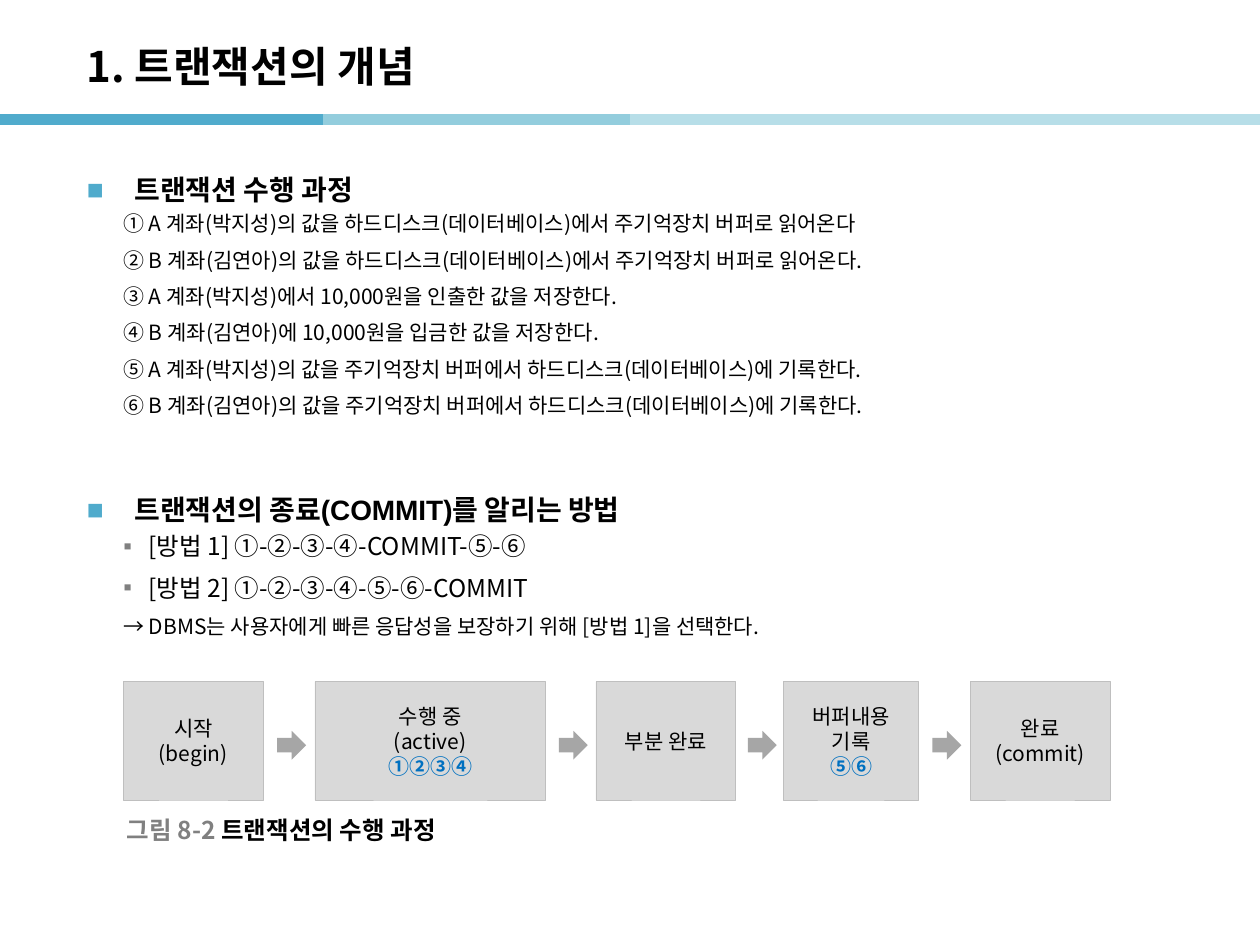
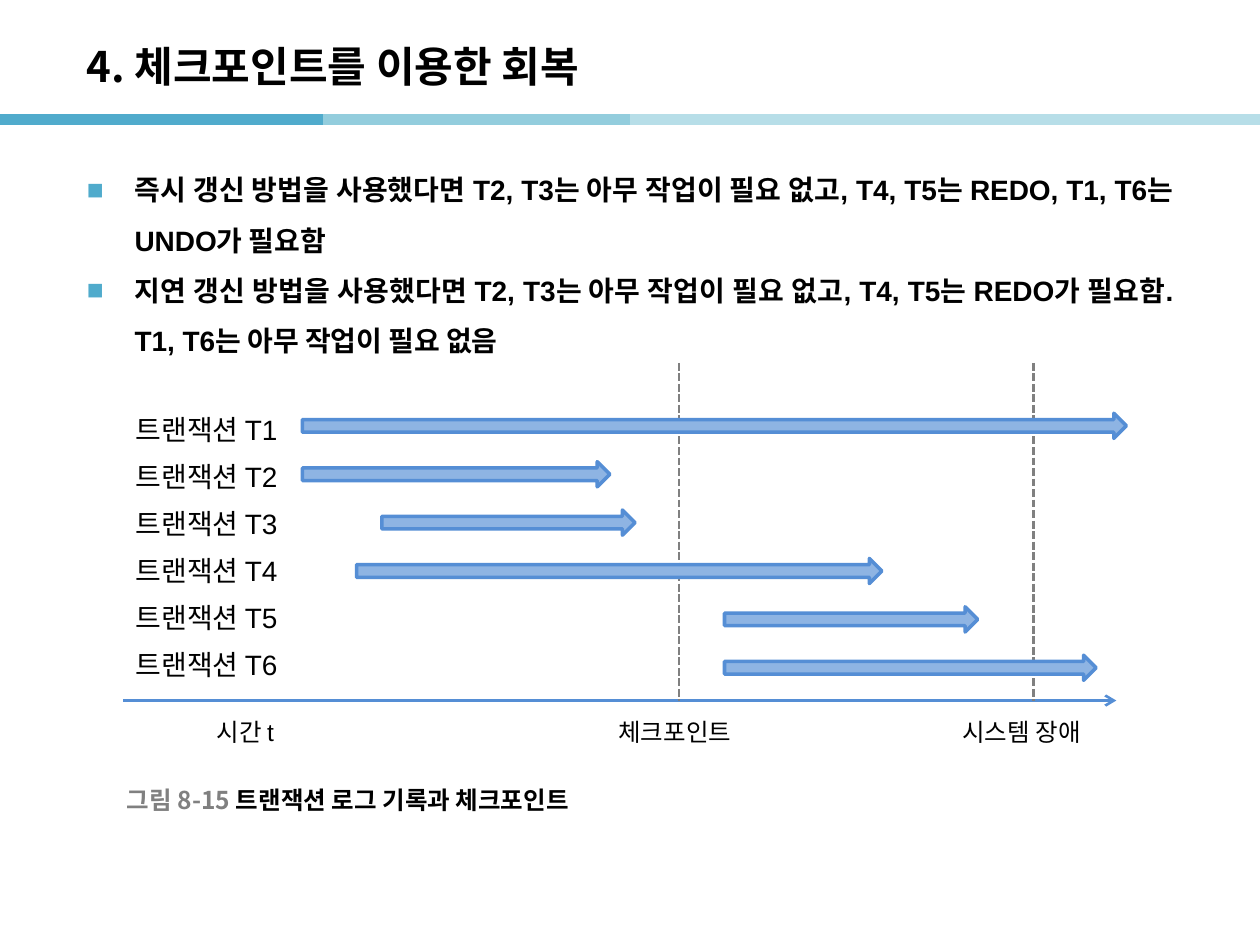
from lxml.etree import SubElement
from pptx import Presentation
from pptx.dml.color import RGBColor
from pptx.enum.dml import MSO_LINE
from pptx.enum.shapes import MSO_CONNECTOR, MSO_SHAPE
from pptx.enum.text import MSO_ANCHOR, PP_ALIGN
from pptx.oxml.ns import qn
from pptx.util import Inches, Pt

# The page is a grid of 100 columns and 75 rows
COLUMNS, ROWS = 100, 75
CELL = 0.1

SANS, KOREAN = "Arial", "Noto Sans CJK KR"
BLACK, GRAY = "000000", "808080"
TEAL, TEAL_MID, TEAL_LIGHT = "50ABCC", "93CDDD", "B7DEE8"
BOX_FILL, BOX_EDGE, STEP_ARROW = "D9D9D9", "BFBFBF", "A6A6A6"
BAR_FILL, BAR_EDGE, STEP_NUMBER = "8EB4E3", "558ED5", "0070C0"
MARGIN, BODY_WIDTH = 5.9, 88.2


def color(value):
    return RGBColor.from_string(value)


def cells(*counts):
    return [Inches(count * CELL) for count in counts]


# Text
def add_span(para, text, size, font=KOREAN, ink=BLACK, bold=False):
    span = para.add_run()
    span.text = text
    span.font.size = Pt(size)
    span.font.name = font
    span.font.bold = bold
    span.font.color.rgb = color(ink)
    SubElement(span.font._element, qn("a:ea"), typeface=KOREAN)


def add_box(page, left, top, width, height, anchor=MSO_ANCHOR.TOP):
    box = page.shapes.add_textbox(*cells(left, top, width, height))
    box.text_frame.word_wrap = True
    box.text_frame.vertical_anchor = anchor
    return box.text_frame


def next_para(frame):
    first = frame.paragraphs[0]
    return frame.add_paragraph() if first.runs else first


def set_bullet(para, margin, indent, mark=None, ink=BLACK):
    props = para._p.get_or_add_pPr()
    props.set("marL", str(Inches(margin)))
    props.set("indent", str(Inches(indent)))
    if mark is None:
        SubElement(props, qn("a:buNone"))
        return
    SubElement(SubElement(props, qn("a:buClr")), qn("a:srgbClr"), val=ink)
    SubElement(props, qn("a:buFont"), typeface=SANS)
    SubElement(props, qn("a:buChar"), char=mark)


def add_heading(frame, text, align=PP_ALIGN.LEFT):
    para = next_para(frame)
    set_bullet(para, 0.38, -0.38, "■", TEAL)
    para.line_spacing = 1.5
    para.alignment = align
    add_span(para, text, 16, SANS, bold=True)


def add_item(frame, text, size=12, mark=None):
    para = next_para(frame)
    set_bullet(para, 0.49, -0.2, mark, GRAY)
    para.space_before = Pt(size * 0.2)
    para.space_after = Pt(4)
    add_span(para, text, size)


def add_caption(page, top, number, text):
    frame = add_box(page, 9.1, top, 50, 3.1, MSO_ANCHOR.MIDDLE)
    para = frame.paragraphs[0]
    add_span(para, number + " ", 14, ink=GRAY, bold=True)
    add_span(para, text, 14, bold=True)


# Shapes and lines
def add_figure(page, kind, left, top, width, height, fill, edge=None, weight=0):
    figure = page.shapes.add_shape(kind, *cells(left, top, width, height))
    figure.shadow.inherit = False
    figure.fill.solid()
    figure.fill.fore_color.rgb = color(fill)
    if edge:
        figure.line.color.rgb = color(edge)
        figure.line.width = Pt(weight)
    else:
        figure.line.fill.background()
    return figure


def add_line(page, left, top, right, bottom, ink, weight, dash=None, arrow=False):
    line = page.shapes.add_connector(
        MSO_CONNECTOR.STRAIGHT, *cells(left, top, right, bottom))
    line.line.color.rgb = color(ink)
    line.line.width = Pt(weight)
    if dash:
        line.line.dash_style = dash
    if arrow:
        SubElement(line.line._get_or_add_ln(), qn("a:tailEnd"), type="arrow")
    SubElement(line._element.spPr, qn("a:effectLst"))


def add_step(page, left, width, lines, numbers):
    box = add_figure(page, MSO_SHAPE.RECTANGLE, left, 54.1, width, 9.4,
                     BOX_FILL, BOX_EDGE, 0.5)
    frame = box.text_frame
    frame.word_wrap = True
    frame.vertical_anchor = MSO_ANCHOR.MIDDLE
    for text in lines:
        add_span(next_para(frame), text, 12)
    if numbers:
        add_span(next_para(frame), numbers, 12, ink=STEP_NUMBER, bold=True)
    for para in frame.paragraphs:
        para.alignment = PP_ALIGN.CENTER


# Frame shared by the pages
def add_page(deck, title):
    page = deck.slides.add_slide(deck.slide_layouts[6])
    bands = [(0, 25.6, TEAL), (25.6, 50, TEAL_MID), (50, COLUMNS, TEAL_LIGHT)]
    for left, right, ink in bands:
        add_line(page, left, 9.5, right, 9.5, ink, 6)
    frame = add_box(page, MARGIN, 2.2, 82.7, 6, MSO_ANCHOR.MIDDLE)
    add_span(frame.paragraphs[0], title, 24, bold=True)
    return page


def add_concept_page(deck):
    page = add_page(deck, "1. 트랜잭션의 개념")

    process = add_box(page, MARGIN, 11.9, BODY_WIDTH, 23)
    add_heading(process, "트랜잭션 수행 과정")
    for text in [
        "① A 계좌(박지성)의 값을 하드디스크(데이터베이스)에서 주기억장치 버퍼로 읽어온다",
        "② B 계좌(김연아)의 값을 하드디스크(데이터베이스)에서 주기억장치 버퍼로 읽어온다.",
        "③ A 계좌(박지성)에서 10,000원을 인출한 값을 저장한다.",
        "④ B 계좌(김연아)에 10,000원을 입금한 값을 저장한다.",
        "⑤ A 계좌(박지성)의 값을 주기억장치 버퍼에서 하드디스크(데이터베이스)에 기록한다.",
        "⑥ B 계좌(김연아)의 값을 주기억장치 버퍼에서 하드디스크(데이터베이스)에 기록한다.",
    ]:
        add_item(process, text)

    commit = add_box(page, MARGIN, 37.3, BODY_WIDTH, 15)
    add_heading(commit, "트랜잭션의 종료(COMMIT)를 알리는 방법")
    add_item(commit, "[방법 1] ①-②-③-④-COMMIT-⑤-⑥", 14, "▪")
    add_item(commit, "[방법 2] ①-②-③-④-⑤-⑥-COMMIT", 14, "▪")
    add_item(commit, "→ DBMS는 사용자에게 빠른 응답성을 보장하기 위해 [방법 1]을 선택한다.")

    # Flow of steps, with an arrow in each gap
    steps = [
        (9.8, 11.1, ["시작", "(begin)"], ""),
        (25, 18.3, ["수행 중", "(active)"], "①②③④"),
        (47.3, 11.1, ["부분 완료"], ""),
        (62.2, 10.7, ["버퍼내용 기록"], "⑤⑥"),
        (77, 11.1, ["완료", "(commit)"], ""),
    ]
    for step in steps:
        add_step(page, *step)
    arrow = 2.3
    for (left, width, *_), (following, *_) in zip(steps, steps[1:]):
        middle = (left + width + following) / 2 + 0.2
        add_figure(page, MSO_SHAPE.RIGHT_ARROW, middle - arrow / 2, 58,
                   arrow, arrow, STEP_ARROW)
    add_caption(page, 64.3, "그림 8-2", "트랜잭션의 수행 과정")


def add_checkpoint_page(deck):
    page = add_page(deck, "4. 체크포인트를 이용한 회복")
    body = add_box(page, MARGIN, 11.9, BODY_WIDTH, 17)
    for text in [
        "즉시 갱신 방법을 사용했다면 T2, T3는 아무 작업이 필요 없고, "
        "T4, T5는 REDO, T1, T6는 UNDO가 필요함",
        "지연 갱신 방법을 사용했다면 T2, T3는 아무 작업이 필요 없고, "
        "T4, T5는 REDO가 필요함. T1, T6는 아무 작업이 필요 없음",
    ]:
        add_heading(body, text, PP_ALIGN.JUSTIFY)

    # Time axis and its events
    axis = 55.6
    add_line(page, 9.8, axis, 88.6, axis, BAR_EDGE, 1.5, arrow=True)
    for event in (53.9, 82):
        add_line(page, event, 28.8, event, axis, GRAY, 1.5, MSO_LINE.SQUARE_DOT)
    for left, text in [(16.2, "시간 t"), (48.1, "체크포인트"), (75.4, "시스템 장애")]:
        label = add_box(page, left, 56.4, 15, 3.4)
        add_span(label.paragraphs[0], text, 14, SANS)

    # One label and one bar for each transaction
    names = add_box(page, 9.8, 31.2, 16, 23.2)
    bars = [(24, 65.4), (24, 24.4), (30.3, 20.1),
            (28.3, 41.7), (57.5, 20.1), (57.5, 29.5)]
    for row, (start, length) in enumerate(bars):
        para = next_para(names)
        para.line_spacing = 1.4
        add_span(para, f"트랜잭션 T{row + 1}", 16, SANS)
        add_figure(page, MSO_SHAPE.RIGHT_ARROW, start, 32.8 + 3.84 * row,
                   length, 2, BAR_FILL, BAR_EDGE, 2)
    add_caption(page, 61.9, "그림 8-15", "트랜잭션 로그 기록과 체크포인트")


def main():
    deck = Presentation()
    deck.slide_width, deck.slide_height = cells(COLUMNS, ROWS)
    add_concept_page(deck)
    add_checkpoint_page(deck)
    deck.save("out.pptx")


if __name__ == "__main__":
    main()
